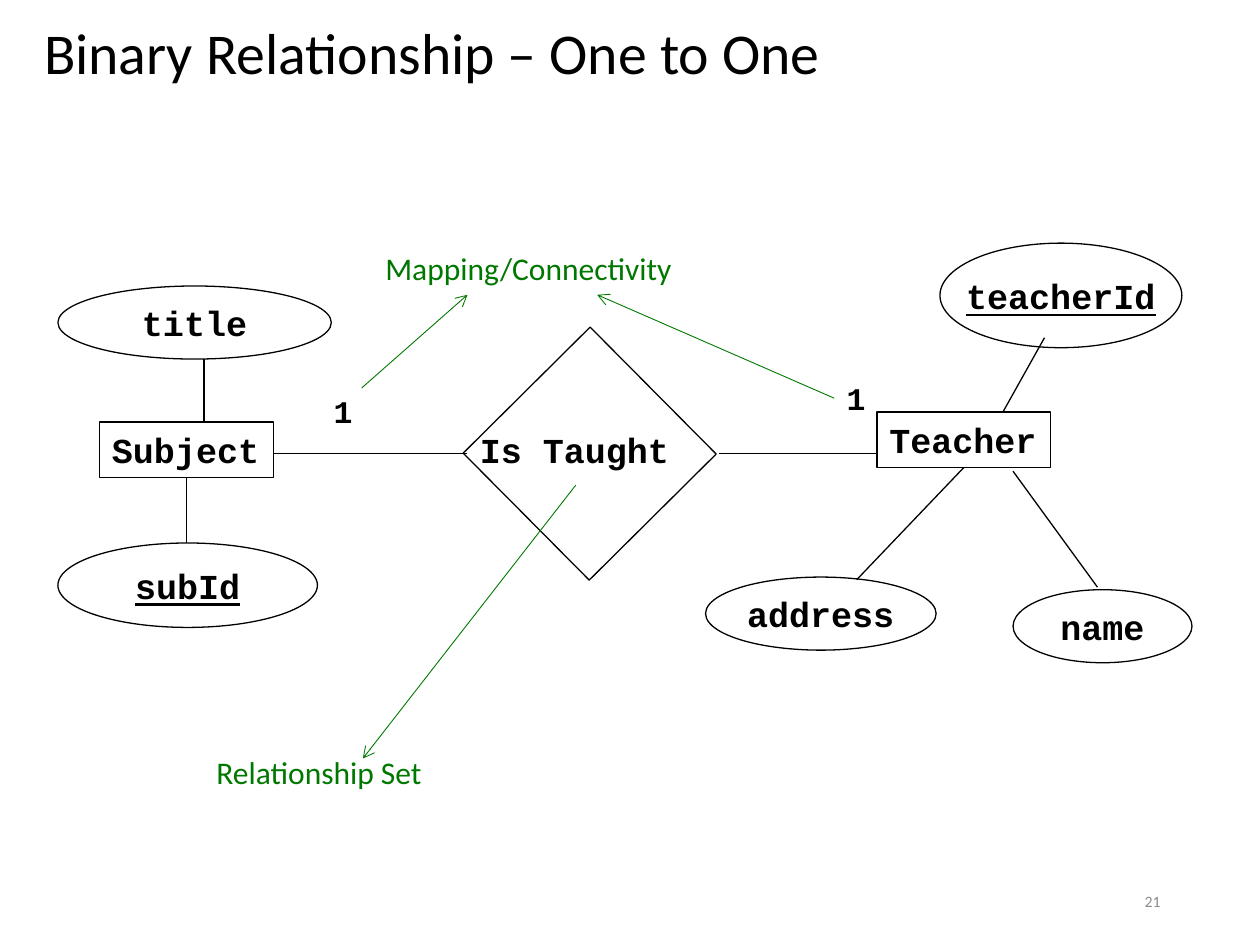
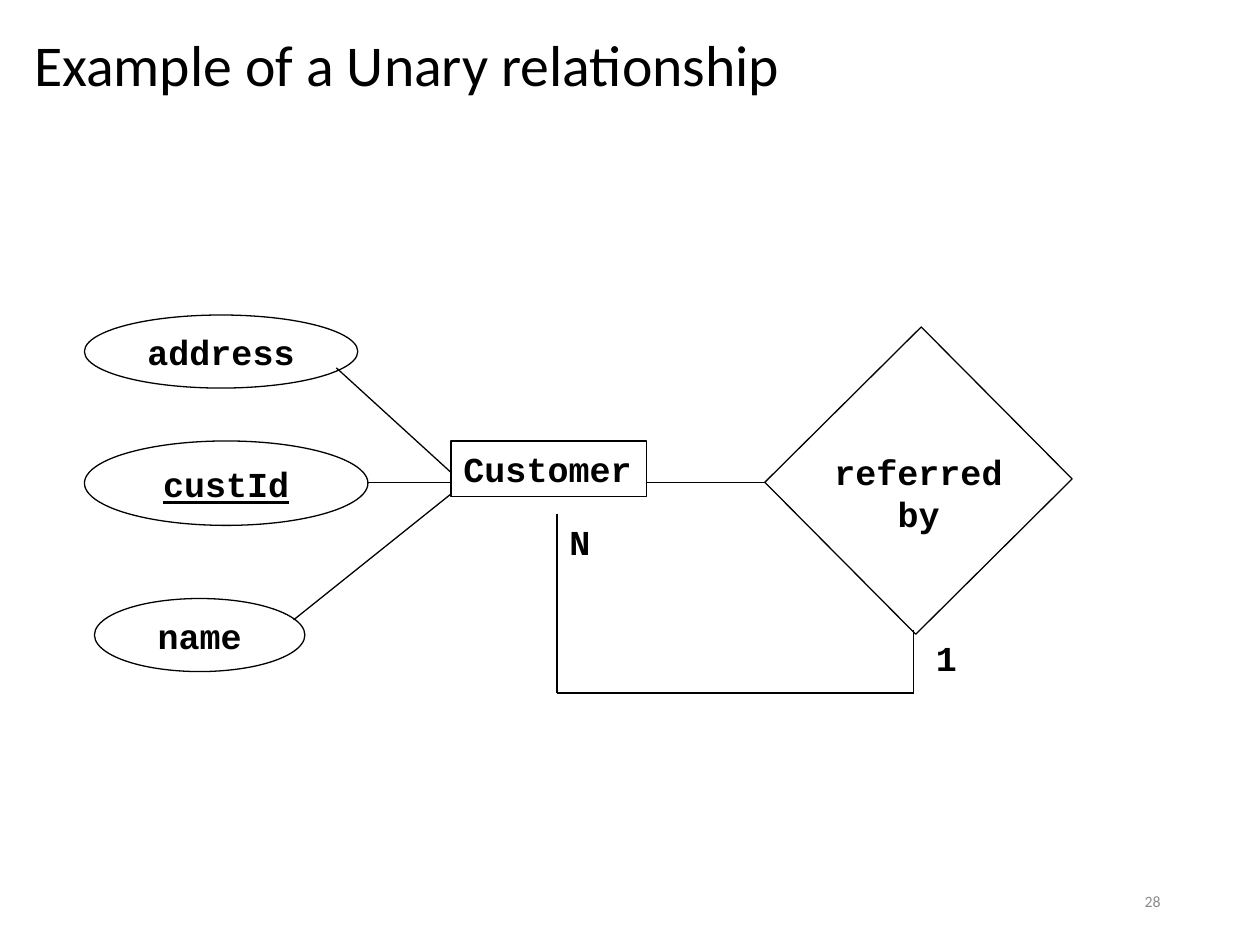
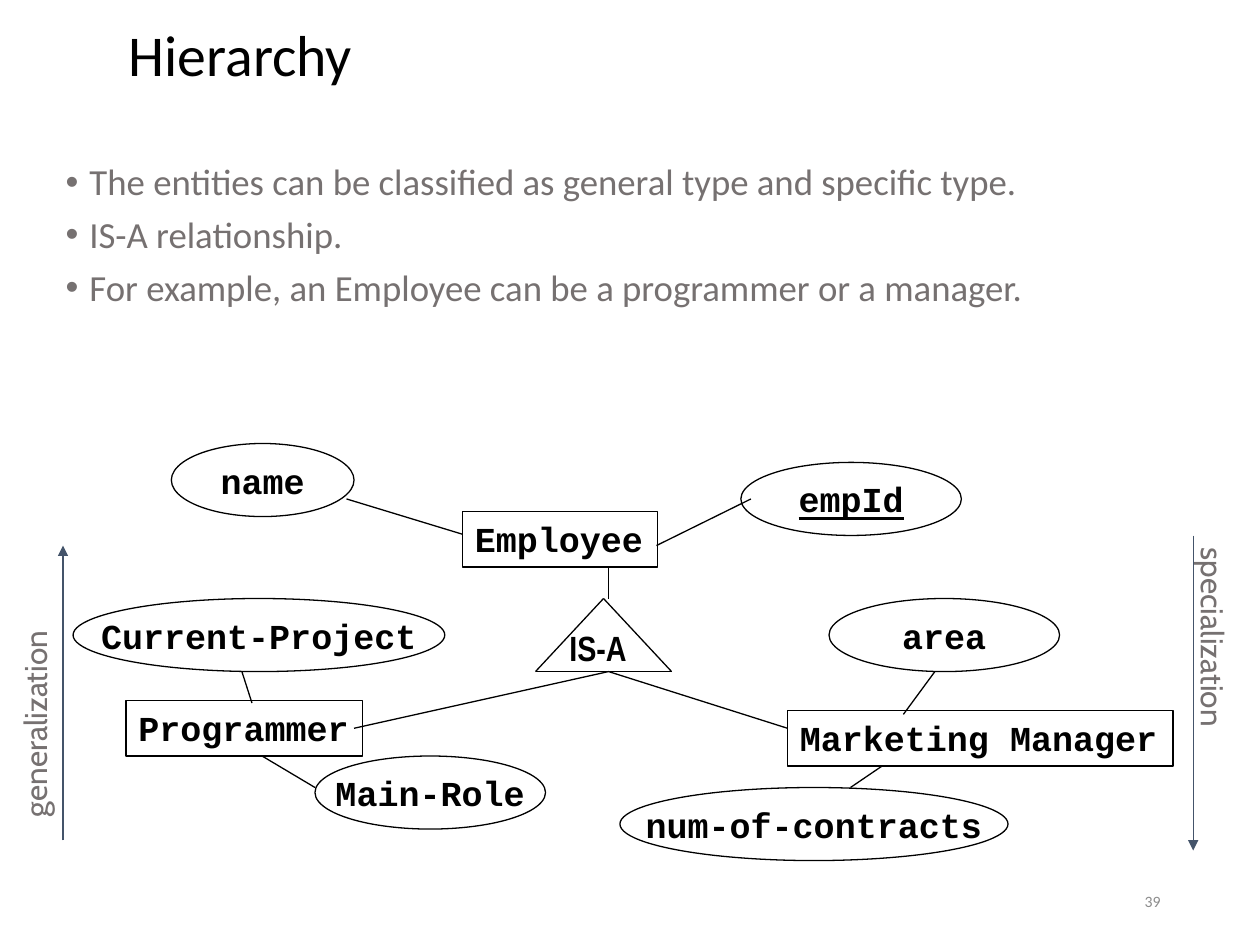
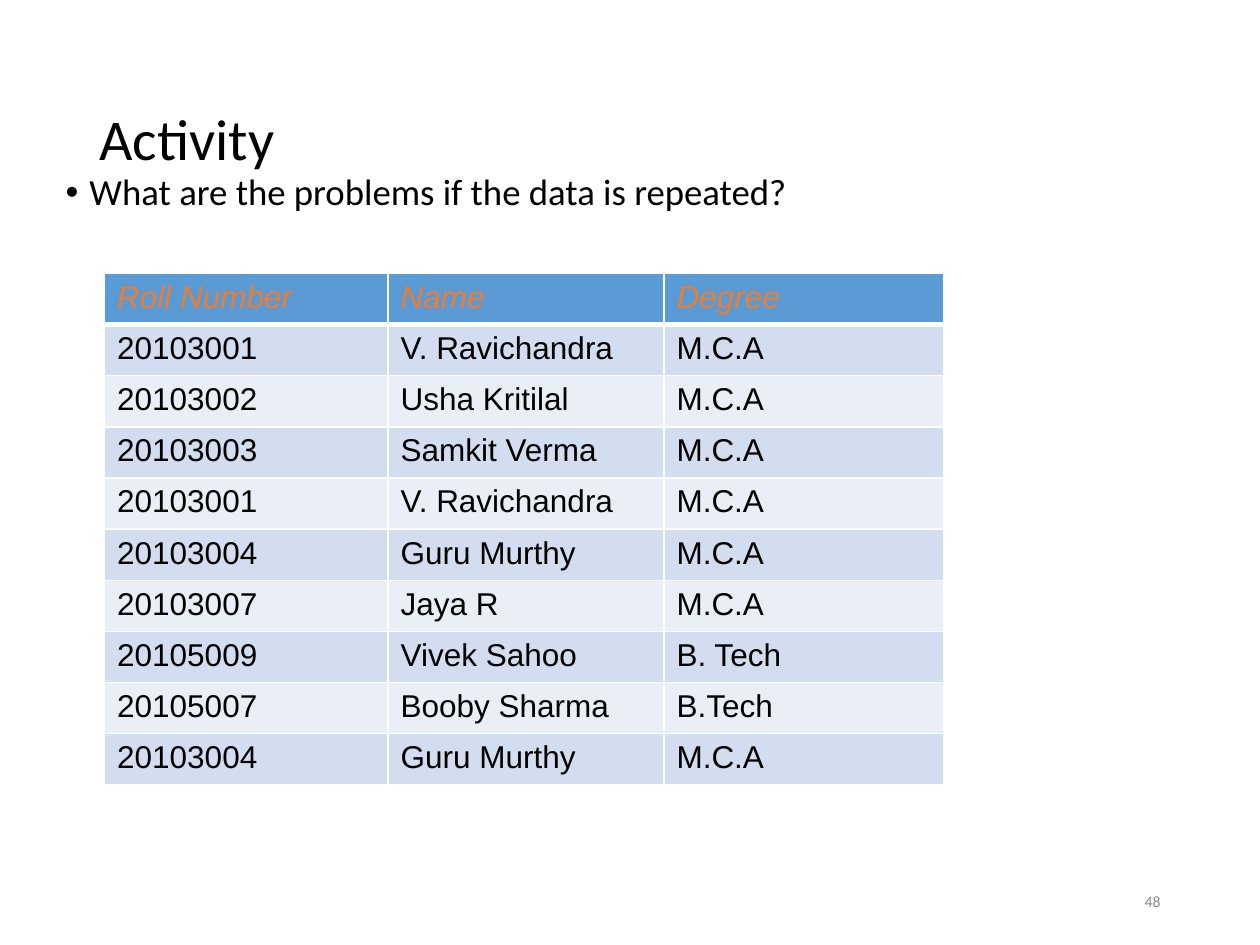
from pptx import Presentation
from pptx.dml.color import RGBColor
from pptx.enum.shapes import MSO_CONNECTOR, MSO_SHAPE
from pptx.enum.text import MSO_ANCHOR, MSO_AUTO_SIZE, PP_ALIGN
from pptx.oxml.ns import qn
from pptx.util import Pt
from lxml import etree

STRAIGHT = MSO_CONNECTOR.STRAIGHT
RECT, OVAL = MSO_SHAPE.RECTANGLE, MSO_SHAPE.OVAL
TOP, MIDDLE = MSO_ANCHOR.TOP, MSO_ANCHOR.MIDDLE
LEFT, CENTER, RIGHT = PP_ALIGN.LEFT, PP_ALIGN.CENTER, PP_ALIGN.RIGHT
FIT_SHAPE, NO_FIT = MSO_AUTO_SIZE.SHAPE_TO_FIT_TEXT, MSO_AUTO_SIZE.NONE

EMU_PER_PX = 9144  # 100 px to the inch
BLACK, GREEN, GRAY, SLATE = "000000", "007800", "767171", "44546A"
PAGE_GRAY, WHITE, ORANGE = "8C8C8C", "FFFFFF", "ED7D31"
HEADER_BLUE, BANDS = "5B9BD5", ("D2DEEF", "EAEFF7")

# Text styles: font, size, colour, bold
TITLE = ("Calibri", 33, BLACK, False)
PAGE = ("Calibri", 9, PAGE_GRAY, False)
DIAGRAM = ("Courier New", 20, BLACK, True)
CARDINALITY = ("Courier New", 18, BLACK, True)
NOTE = ("Calibri", 18, GREEN, False)
ISA = ("Arial Narrow", 20, BLACK, True)
DIRECTION = ("Cabin", 18, GRAY, False)

PAGE_BOX = (706, 695, 225, 40)
BULLET_INDENT = 19
JOIN_TOLERANCE = 2
ROTATED_SQUARE = 45.2
KEY_ATTRIBUTES = {"teacherId", "subId", "custId", "empId"}

# Boxes are (left, top, width, height); lines are (x1, y1, x2, y2)
ONE_TO_ONE = {
    "title": ("Binary Relationship – One to One", (25, 3, 850, 83)),
    "page": "21",
    "relationship": (397, 289, 142, 142),
    "entities": [
        ("Subject", (79, 335, 138, 44)),
        ("Teacher", (696, 327, 138, 44)),
    ],
    "attributes": [
        ("teacherId", (746, 193, 192, 83)),
        ("name", (804, 468, 142, 58)),
        ("address", (560, 458, 183, 58)),
        ("subId", (46, 431, 206, 67)),
        ("title", (46, 227, 217, 58)),
    ],
    "labels": [
        ("Is Taught", (371, 335, 172, 44), DIAGRAM),
        ("1", (255, 306, 35, 40), CARDINALITY),
        ("1", (662, 296, 35, 40), CARDINALITY),
        ("Relationship Set", (162, 593, 203, 40), NOTE),
        ("Mapping/Connectivity", (296, 193, 261, 40), NOTE),
    ],
    "lines": [
        (217, 360, 371, 360), (571, 360, 696, 360), (148, 379, 148, 431),
        (796, 327, 829, 268), (763, 371, 680, 460), (804, 374, 871, 466),
        (162, 335, 162, 285),
    ],
    "arrows": [
        ((287, 308, 371, 234), GREEN, 0.5, "arrow"),
        ((662, 316, 474, 234), GREEN, 0.5, "arrow"),
        ((457, 385, 288, 602), GREEN, 0.5, "arrow"),
    ],
}

UNARY = {
    "title": ("Example of a Unary relationship", (17, 0, 958, 108)),
    "page": "28",
    "relationship": (644, 294, 170, 175),
    "entities": [("Customer", (358, 350, 155, 44))],
    "attributes": [
        ("custId", (67, 350, 225, 67)),
        ("name", (75, 475, 167, 58)),
        ("address", (67, 250, 217, 58)),
    ],
    "wrapped_labels": [("referred by", (633, 353, 192, 77), DIAGRAM, CENTER, 0)],
    "labels": [
        ("N", (442, 408, 37, 44), DIAGRAM),
        ("1", (733, 500, 37, 44), DIAGRAM),
    ],
    "lines": [
        (358, 375, 267, 292), (292, 383, 358, 383), (358, 392, 233, 492),
        (513, 383, 608, 383),
        (725, 500, 725, 550), (442, 550, 725, 550), (442, 550, 442, 408),
    ],
}

HIERARCHY = {
    "title": ("Hierarchy", (92, -17, 850, 125)),
    "page": "39",
    "bullets": ([
        "The entities can be classified as general type and specific type.",
        "IS-A relationship.",
        "For example, an Employee can be a programmer or a manager.",
    ], (42, 125, 917, 200), GRAY),
    "entities": [
        ("Employee", (367, 406, 155, 44)),
        ("Programmer", (100, 556, 188, 44)),
        ("Marketing Manager", (625, 564, 306, 44)),
    ],
    "attributes": [
        ("name", (136, 352, 145, 58)),
        ("empId", (588, 367, 175, 58)),
        ("Current-Project", (58, 475, 295, 58)),
        ("Main-Role", (250, 600, 183, 58)),
        ("area", (658, 475, 183, 58)),
        ("num-of-contracts", (492, 625, 308, 58)),
    ],
    "labels": [("IS-A", (442, 492, 66, 44), ISA)],
    "wrapped_labels": [
        ("specialization", (846, 522, 234, 40), DIRECTION, LEFT, 90),
        ("generalization", (-85, 526, 225, 40), DIRECTION, LEFT, 270),
    ],
    "lines": [
        (367, 424, 275, 396), (521, 433, 596, 396), (483, 475, 483, 450),
        (479, 475, 425, 533), (479, 475, 533, 533), (425, 533, 533, 533),
        (483, 533, 281, 578), (483, 533, 625, 578),
        (200, 558, 192, 533), (208, 600, 250, 625),
        (717, 567, 742, 533), (700, 608, 675, 625),
    ],
    "arrows": [
        ((947, 425, 947, 675), SLATE, 0.75, "triangle"),
        ((50, 667, 50, 433), SLATE, 0.75, "triangle"),
    ],
}

ACTIVITY = {
    "title": ("Activity", (69, 40, 862, 145)),
    "page": "48",
    "bullets": (["What are the problems if the data is repeated?"],
                (42, 133, 900, 75), BLACK),
    "table": ([
        ("Roll Number", "Name", "Degree"),
        ("20103001", "V. Ravichandra", "M.C.A"),
        ("20103002", "Usha Kritilal", "M.C.A"),
        ("20103003", "Samkit Verma", "M.C.A"),
        ("20103001", "V. Ravichandra", "M.C.A"),
        ("20103004", "Guru Murthy", "M.C.A"),
        ("20103007", "Jaya R", "M.C.A"),
        ("20105009", "Vivek Sahoo", "B. Tech"),
        ("20105007", "Booby Sharma", "B.Tech"),
        ("20103004", "Guru Murthy", "M.C.A"),
    ], (83, 217, 666, 406), (225, 219, 222)),
}


def px(*lengths):
    return [length * EMU_PER_PX for length in lengths]


def color(hex_string):
    return RGBColor.from_string(hex_string)


def place(shape, box):
    shape.left, shape.top, shape.width, shape.height = px(*box)


def format_paragraph(paragraph, style, align=LEFT, underline=False, italic=False):
    name, size, hex_string, bold = style
    paragraph.alignment = align
    for run in paragraph.runs:
        font = run.font
        font.name, font.size, font.bold = name, Pt(size), bold
        font.color.rgb = color(hex_string)
        font.italic = italic
        if underline:
            font.underline = True


def set_text(shape, text, style, align=LEFT, anchor=TOP, wrap=False,
             fit=NO_FIT, underline=False):
    frame = shape.text_frame
    frame.text = text
    frame.word_wrap = wrap
    frame.auto_size = fit
    frame.vertical_anchor = anchor
    format_paragraph(frame.paragraphs[0], style, align, underline)


def add_outline(slide, kind, box):
    shape = slide.shapes.add_shape(kind, *px(*box))
    shape.shadow.inherit = False
    shape.fill.background()
    shape.line.color.rgb = color(BLACK)
    shape.line.width = Pt(0.75)
    return shape


def add_label(slide, text, box, style, align=LEFT, rotation=0, wrap=False):
    label = slide.shapes.add_textbox(*px(*box))
    set_text(label, text, style, align, wrap=wrap, fit=FIT_SHAPE)
    label.rotation = rotation


def side_at(point, entities):
    """Return the entity and side whose middle lies at the point, if any."""
    for entity, (left, top, width, height) in entities:
        middles = [(left + width / 2, top), (left, top + height / 2),
                   (left + width / 2, top + height), (left + width, top + height / 2)]
        for side, middle in enumerate(middles):
            if max(abs(a - b) for a, b in zip(point, middle)) <= JOIN_TOLERANCE:
                return entity, side
    return None


def add_line(slide, ends, entities, hex_string=BLACK, width=0.75, arrowhead=None):
    line = slide.shapes.add_connector(STRAIGHT, *px(*ends))
    line.line.color.rgb = color(hex_string)
    line.line.width = Pt(width)
    properties = line._element.spPr
    if arrowhead:
        etree.SubElement(properties.find(qn("a:ln")), qn("a:tailEnd"), type=arrowhead)
    etree.SubElement(properties, qn("a:effectLst"))
    for point, connect in ((ends[:2], line.begin_connect), (ends[2:], line.end_connect)):
        joint = side_at(point, entities)
        if joint:
            connect(*joint)


def add_diagram(slide, content):
    entities = []
    if "relationship" in content:
        add_outline(slide, RECT, content["relationship"]).rotation = ROTATED_SQUARE
    for name, box in content.get("entities", []):
        entity = add_outline(slide, RECT, box)
        set_text(entity, name, DIAGRAM, fit=FIT_SHAPE)
        entities.append((entity, box))
    for name, box in content.get("attributes", []):
        set_text(add_outline(slide, OVAL, box), name, DIAGRAM, CENTER, MIDDLE,
                 underline=name in KEY_ATTRIBUTES)
    for label in content.get("labels", []):
        add_label(slide, *label)
    for label in content.get("wrapped_labels", []):
        add_label(slide, *label, wrap=True)
    for ends in content.get("lines", []):
        add_line(slide, ends, entities)
    for ends, hex_string, width, arrowhead in content.get("arrows", []):
        add_line(slide, ends, entities, hex_string, width, arrowhead)


def add_bullets(slide, items, box, hex_string):
    body = slide.placeholders[1]
    place(body, box)
    frame = body.text_frame
    frame.text = "\n".join(items)
    frame.auto_size = NO_FIT
    indent, = px(BULLET_INDENT)
    for index, paragraph in enumerate(frame.paragraphs):
        paragraph.line_spacing = 0.9
        paragraph.space_before = Pt(7.5 if index else 0)
        properties = paragraph._p.get_or_add_pPr()
        properties.set("marL", str(indent))
        properties.set("indent", str(-indent))
        etree.SubElement(properties, qn("a:buFont"), typeface="Arial")
        etree.SubElement(properties, qn("a:buChar"), char="•")
        format_paragraph(paragraph, ("Calibri", 21, hex_string, False))


def set_borders(cell, **widths):
    properties = cell._tc.get_or_add_tcPr()
    for side in "LRTB":
        border = etree.SubElement(properties, qn("a:ln" + side),
                                  w=str(Pt(widths.get(side, 1))))
        fill = etree.SubElement(border, qn("a:solidFill"))
        etree.SubElement(fill, qn("a:srgbClr"), val=WHITE)


def add_data_table(slide, rows, box, column_widths):
    table = slide.shapes.add_table(len(rows), len(column_widths), *px(*box)).table
    for column, width in zip(table.columns, px(*column_widths)):
        column.width = width
    for r, row in enumerate(rows):
        header = r == 0
        style = ("Arial", 18, ORANGE if header else BLACK, False)
        for c, value in enumerate(row):
            cell = table.cell(r, c)
            set_borders(cell, T=3 if r == 1 else 1, B=3 if header else 1)
            cell.fill.solid()
            cell.fill.fore_color.rgb = color(HEADER_BLUE if header else BANDS[(r - 1) % 2])
            cell.text = value
            format_paragraph(cell.text_frame.paragraphs[0], style, italic=header)


def add_slide(deck, content):
    layout = deck.slide_layouts[1 if "bullets" in content else 5]
    slide = deck.slides.add_slide(layout)
    heading, box = content["title"]
    title = slide.shapes.title
    place(title, box)
    set_text(title, heading, TITLE, anchor=MIDDLE, wrap=True)
    title.text_frame.paragraphs[0].line_spacing = 0.9
    if "bullets" in content:
        add_bullets(slide, *content["bullets"])
    page = slide.shapes.add_textbox(*px(*PAGE_BOX))
    set_text(page, content["page"], PAGE, RIGHT, MIDDLE, wrap=True)
    add_diagram(slide, content)
    if "table" in content:
        add_data_table(slide, *content["table"])


def main():
    deck = Presentation()
    deck.slide_width, deck.slide_height = px(1000, 750)
    for content in (ONE_TO_ONE, UNARY, HIERARCHY, ACTIVITY):
        add_slide(deck, content)
    deck.save("out.pptx")


if __name__ == "__main__":
    main()
